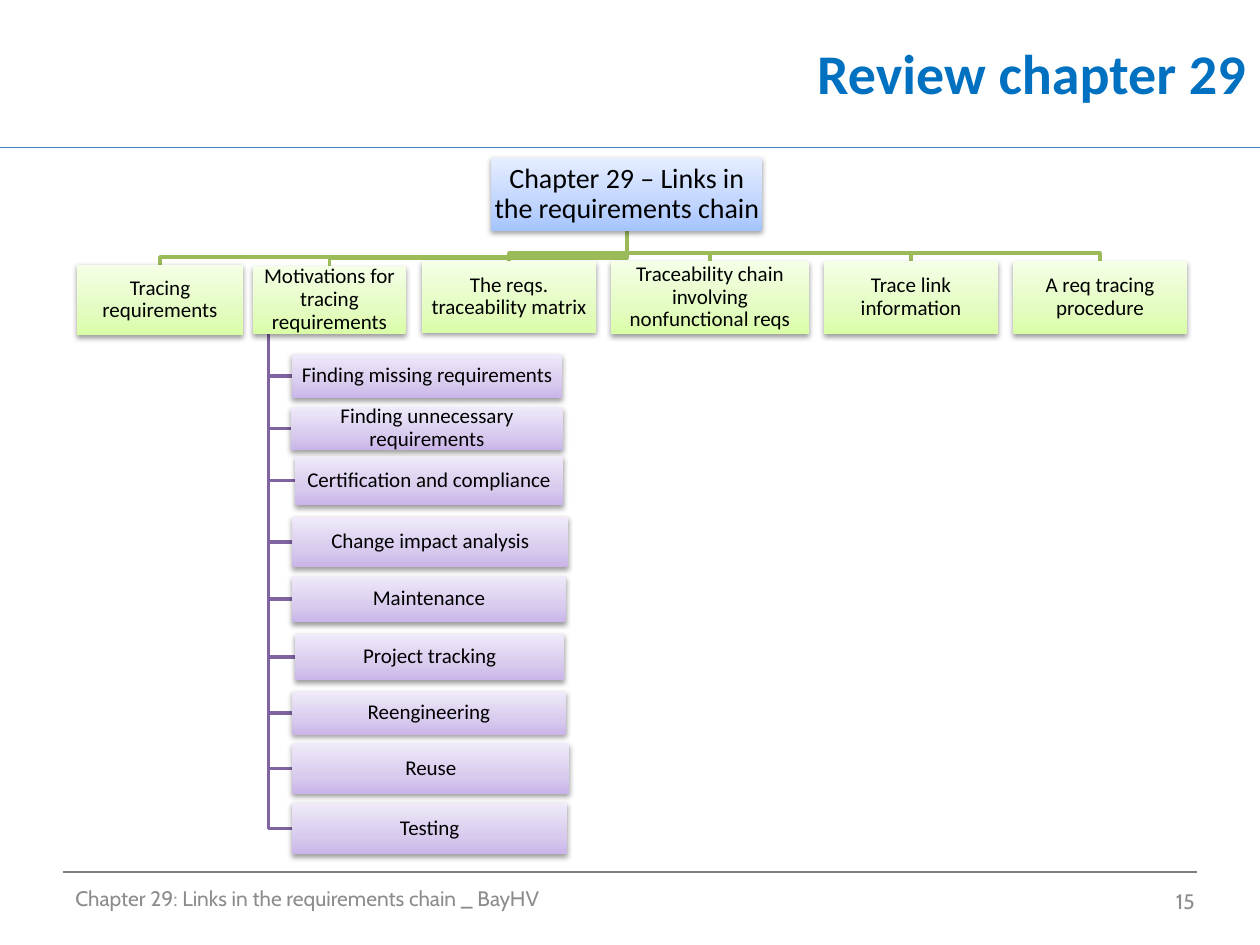
"""Draw the review slide of chapter 29 as a tree of topics on a grid of 100 by 75 cells."""
import dataclasses
import typing

import pptx
import pptx.dml.color
import pptx.enum.shapes
import pptx.enum.text
import pptx.oxml
import pptx.oxml.ns
import pptx.util

RGB = pptx.dml.color.RGBColor
ALIGN = pptx.enum.text.PP_ALIGN
BLUE = RGB(0x00, 0x70, 0xC0)
RULE = RGB(0x4B, 0x7E, 0xBC)
GRAY = RGB(0x80, 0x80, 0x80)
PALE = RGB(0x8C, 0x8C, 0x8C)
BLACK = RGB(0x00, 0x00, 0x00)
GREEN = RGB(0x9B, 0xBB, 0x59)
PLUM = RGB(0x80, 0x64, 0xA2)
SKY = {0: RGB(0xA4, 0xC4, 0xFF), 35: RGB(0xBF, 0xD4, 0xFF), 100: RGB(0xE6, 0xEE, 0xFF)}
LIME = {0: RGB(0xDA, 0xFD, 0xA7), 35: RGB(0xE4, 0xFC, 0xC2), 100: RGB(0xF5, 0xFF, 0xE7)}
LILAC = {0: RGB(0xC9, 0xB5, 0xE8), 35: RGB(0xD8, 0xCB, 0xEE), 100: RGB(0xF0, 0xEA, 0xF9)}

COLS, ROWS = 100, 75
CELL = pptx.util.Inches(0.1)
INSET = pptx.util.Inches(0.01)
NS = pptx.oxml.ns.nsdecls("a")
Point = typing.Tuple[float, float]


@dataclasses.dataclass
class Box:
    """A labelled box, placed in grid cells."""
    text: str
    left: float
    top: float
    wide: float
    high: float

    @property
    def mid(self) -> Point:
        """Return the centre of the box."""
        return self.left + self.wide / 2, self.top + self.high / 2

    @property
    def frame(self) -> typing.List[int]:
        """Return left, top, width and height as lengths."""
        return [span(n) for n in (self.left, self.top, self.wide, self.high)]


ROOT = Box("Chapter 29 – Links in the requirements chain", 39, 12.5, 21.5, 5.8)
TOPICS = [
    Box("Tracing requirements", 6.1, 21, 13.2, 5.6),
    Box("Motivations for tracing requirements", 20.1, 21.1, 12.1, 5.4),
    Box("The reqs. traceability matrix", 33.5, 20.7, 13.8, 5.7),
    Box("Traceability chain involving nonfunctional reqs", 48.5, 20.7, 15.7, 5.8),
    Box("Trace link information", 65.4, 20.7, 13.8, 5.8),
    Box("A req tracing procedure", 80.4, 20.7, 13.8, 5.8),
]
MOTIVES = [
    Box("Finding missing requirements", 23.2, 28.1, 21.4, 3.5),
    Box("Finding unnecessary requirements", 23.1, 32.3, 21.6, 3.4),
    Box("Certification and compliance", 23.4, 36.2, 21.3, 3.9),
    Box("Change impact analysis", 23.2, 41, 21.9, 4),
    Box("Maintenance", 23.2, 45.7, 21.7, 3.7),
    Box("Project tracking", 23.4, 50.3, 21.4, 3.7),
    Box("Reengineering", 23.2, 54.9, 21.7, 3.4),
    Box("Reuse", 23.2, 59, 22, 4),
    Box("Testing", 23.2, 63.7, 21.8, 4.1),
]
TITLE = Box("Review chapter 29", 29, 0, 70.9, 11.5)
FOOT = Box("Chapter 29: Links in the requirements chain _ BayHV", 5, 69.3, 66.7, 4)
PAGE = Box("15", 72.5, 69.5, 23.3, 4)


def span(cells: float) -> int:
    """Turn grid cells into a length."""
    return round(cells * CELL)


def apply(item: typing.Any, form: typing.Dict[str, typing.Any]) -> None:
    """Set each attribute named in the format."""
    for name, value in form.items():
        setattr(item, name, value)


def write(shape: typing.Any, text: str, size: float, color: RGB, align: typing.Any,
          face: str = "Calibri", bold: bool = False, **extra: typing.Any) -> None:
    """Fill a shape with one formatted paragraph."""
    frame = shape.text_frame
    frame.text = text
    apply(frame, {"word_wrap": True, "vertical_anchor": pptx.enum.text.MSO_ANCHOR.MIDDLE, **extra})
    para = frame.paragraphs[0]
    para.alignment = align
    apply(para.font, {"size": pptx.util.Pt(size), "name": face, "bold": bold})
    para.font.color.rgb = color


def rule(slide: typing.Any, left: float, right: float, row: float, color: RGB) -> None:
    """Draw a level line across the slide."""
    line = slide.shapes.add_connector(
        pptx.enum.shapes.MSO_CONNECTOR.STRAIGHT, span(left), span(row), span(right), span(row))
    line.line.color.rgb = color
    line.line.width = pptx.util.Pt(0.75)
    line._element.spPr.append(pptx.oxml.parse_xml(f"<a:effectLst {NS}/>"))


def link(slide: typing.Any, color: RGB, start: Point, *rest: Point) -> None:
    """Draw an open bent line through the points."""
    form = slide.shapes.build_freeform(span(start[0]), span(start[1]))
    form.add_line_segments([(span(x), span(y)) for x, y in rest], close=False)
    shape = form.convert_to_shape()
    shape.shadow.inherit = False
    shape.fill.background()
    shape.line.color.rgb = color
    shape.line.width = pptx.util.Pt(2)


def block(slide: typing.Any, box: Box, stops: typing.Dict[int, RGB], size: float = 12) -> None:
    """Draw a shaded box with a soft shadow and its label."""
    shape = slide.shapes.add_shape(pptx.enum.shapes.MSO_SHAPE.RECTANGLE, *box.frame)
    marks = "".join(f'<a:gs pos="{at * 1000}"><a:srgbClr val="{tint}"/></a:gs>'
                    for at, tint in stops.items())
    props = shape._element.spPr
    props.append(pptx.oxml.parse_xml(
        f'<a:gradFill {NS} rotWithShape="1"><a:gsLst>{marks}</a:gsLst>'
        '<a:lin ang="16200000" scaled="0"/></a:gradFill>'))
    shape.line.fill.background()
    props.append(pptx.oxml.parse_xml(
        f'<a:effectLst {NS}><a:outerShdw blurRad="40000" dist="20000" dir="5400000" rotWithShape="0">'
        '<a:srgbClr val="000000"><a:alpha val="38000"/></a:srgbClr></a:outerShdw></a:effectLst>'))
    sides = ("left", "top", "right", "bottom")
    write(shape, box.text, size, BLACK, ALIGN.CENTER, **{f"margin_{side}": INSET for side in sides})
    shape.text_frame.paragraphs[0].line_spacing = 0.9


def main() -> None:
    """Build the slide and save it."""
    deck = pptx.Presentation()
    apply(deck, {"slide_width": span(COLS), "slide_height": span(ROWS)})
    slide = deck.slides.add_slide(deck.slide_layouts[5])
    rule(slide, 0, COLS, 11.7, RULE)
    rule(slide, 5, 95, 69.2, GRAY)

    title = slide.shapes.title
    apply(title, dict(zip(("left", "top", "width", "height"), TITLE.frame)))
    write(title, TITLE.text, 32, BLUE, ALIGN.RIGHT, bold=True)
    for box, align in ((FOOT, ALIGN.LEFT), (PAGE, ALIGN.RIGHT)):
        write(slide.shapes.add_textbox(*box.frame), box.text, 12, PALE, align, "Cabin")

    trunk, base = ROOT.mid[0], ROOT.top + ROOT.high
    for box in TOPICS:
        bend, col = box.top - 0.6, box.mid[0]
        link(slide, GREEN, (trunk, base), (trunk, bend), (col, bend), (col, box.top))
    owner = TOPICS[1]
    stem, base = owner.left + owner.wide / 10, owner.top + owner.high
    for box in MOTIVES:
        row = box.mid[1]
        link(slide, PLUM, (stem, base), (stem, row), (box.left, row))

    block(slide, ROOT, SKY, 16)
    for group, stops in ((TOPICS, LIME), (MOTIVES, LILAC)):
        for box in group:
            block(slide, box, stops)
    deck.save("out.pptx")


if __name__ == "__main__":
    main()
